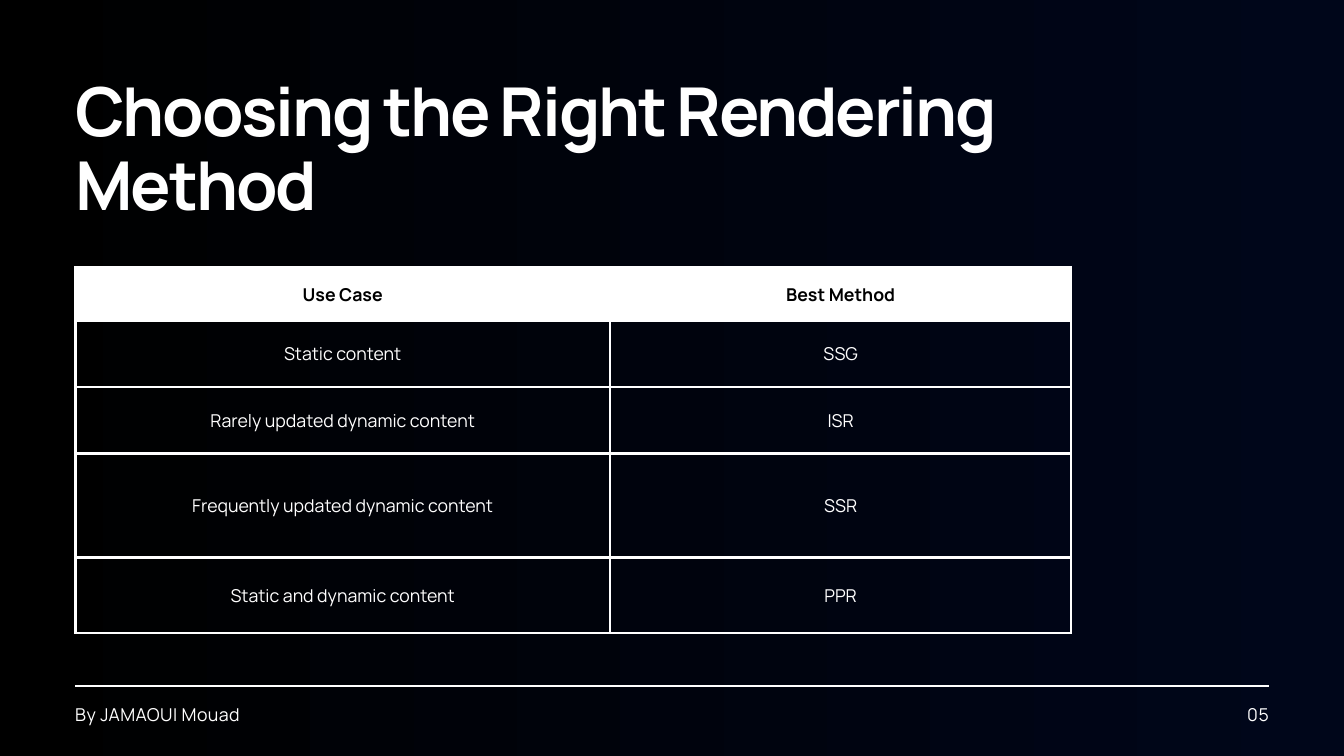
from dataclasses import dataclass
from typing import Any

from pptx import Presentation
from pptx import util as u
from pptx.dml.color import RGBColor
from pptx.enum import shapes, text
from pptx.oxml.ns import qn
from lxml import etree

HUES = {"white": "FFFFFF", "black": "000000", "navy": "00061A"}
FONT = "Manrope"
LEFT, RIGHT = 1.12, 18.88
COLS = (7.96, 6.86)


@dataclass
class Row:
    case: str
    method: str
    height: float
    head: bool = False


@dataclass
class Label:
    words: str
    box: tuple[float, float, float, float]
    style: dict[str, Any]


FOOT = {"size": 19, "lead": 23.2, "track": 0.5}
ROWS = [
    Row("Use Case", "Best Method", 0.52, True),
    Row("Static content", "SSG", 0.99),
    Row("Rarely updated dynamic content", "ISR", 0.99),
    Row("Frequently updated dynamic content", "SSR", 1.55),
    Row("Static and dynamic content", "PPR", 1.12),
]
LABELS = [
    Label("By JAMAOUI Mouad", (LEFT, 10.47, 7.53, 0.34), FOOT),
    Label("05", (RIGHT - 3.97, 10.47, 3.97, 0.34), FOOT | {"align": text.PP_ALIGN.RIGHT}),
    Label("Choosing the Right Rendering Method", (LEFT, 1.14, 15.41, 2.27),
          {"size": 72.2, "lead": 78.7, "track": -2.3, "bold": True}),
]


def hue(name: str) -> RGBColor:
    return RGBColor.from_string(HUES[name])


def write(frame, words: str, *, size: float, lead: float, color: str = "white",
          bold: bool = False, track: float = 0, align=text.PP_ALIGN.LEFT) -> None:
    para = frame.paragraphs[0]
    para.alignment = align
    para.line_spacing = u.Pt(lead)
    run = para.add_run()
    run.text = words
    font = run.font
    font.name, font.size, font.bold = FONT, u.Pt(size), bold
    font.color.rgb = hue(color)
    if track:
        run._r.get_or_add_rPr().set("spc", str(round(track * 100)))


def label(slide, item: Label) -> None:
    frame = slide.shapes.add_textbox(*map(u.Inches, item.box)).text_frame
    frame.margin_left = frame.margin_top = frame.margin_right = frame.margin_bottom = 0
    frame.word_wrap = True
    frame.auto_size = text.MSO_AUTO_SIZE.SHAPE_TO_FIT_TEXT
    write(frame, item.words, **item.style)


def border(cell, color: str, width: float) -> None:
    props = cell._tc.get_or_add_tcPr()
    for side in ("lnL", "lnR", "lnT", "lnB"):
        line = etree.SubElement(props, qn(f"a:{side}"), w=str(u.Pt(width)))
        fill = etree.SubElement(line, qn("a:solidFill"))
        etree.SubElement(fill, qn("a:srgbClr"), val=HUES[color])


def grid(slide, rows: list[Row]) -> None:
    frame = slide.shapes.add_table(
        len(rows), len(COLS), u.Inches(LEFT), u.Inches(3.98),
        u.Inches(sum(COLS)), u.Inches(sum(row.height for row in rows)))
    table = frame.table
    table.first_row = table.horz_banding = False
    for col, width in zip(table.columns, COLS):
        col.width = u.Inches(width)
    for line, row in zip(table.rows, rows):
        line.height = u.Inches(row.height)
        for cell, words in zip(line.cells, (row.case, row.method)):
            pad = u.Inches(0.21)
            cell.margin_left = cell.margin_right = pad
            cell.margin_top = cell.margin_bottom = pad
            cell.vertical_anchor = text.MSO_ANCHOR.MIDDLE
            border(cell, "white", 3)
            if row.head:
                cell.fill.solid()
                cell.fill.fore_color.rgb = hue("white")
            else:
                cell.fill.background()
            write(cell.text_frame, words, size=19, lead=26.6, bold=row.head,
                  color="black" if row.head else "white", align=text.PP_ALIGN.CENTER)


def rule(slide, top: float) -> None:
    line = slide.shapes.add_connector(
        shapes.MSO_CONNECTOR.STRAIGHT,
        u.Inches(LEFT), u.Inches(top), u.Inches(RIGHT), u.Inches(top))
    line.line.color.rgb = hue("white")
    line.line.width = u.Pt(1.5)
    etree.SubElement(line._element.spPr, qn("a:effectLst"))


def shade(slide) -> None:
    fill = slide.background.fill
    fill.gradient()
    fill.gradient_angle = 0
    for stop, name in zip(fill.gradient_stops, ("black", "navy")):
        stop.color.rgb = hue(name)


def main() -> None:
    """Build the slide on choosing a rendering method."""
    deck = Presentation()
    deck.slide_width, deck.slide_height = u.Inches(20), u.Inches(11.25)
    slide = deck.slides.add_slide(deck.slide_layouts[6])
    shade(slide)
    rule(slide, 10.21)
    grid(slide, ROWS)
    for item in LABELS:
        label(slide, item)
    deck.save("out.pptx")


if __name__ == "__main__":
    main()
